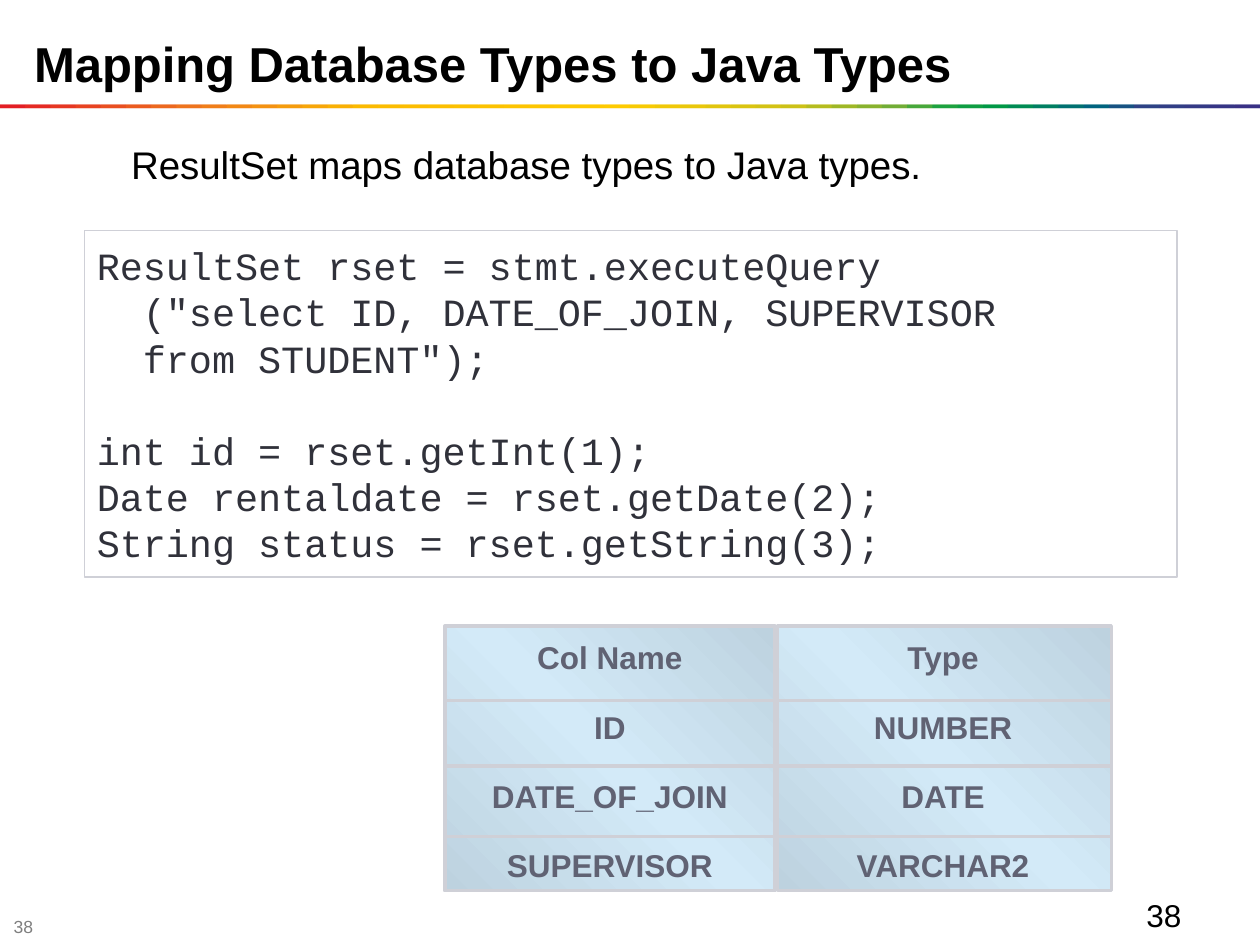
import lxml.etree
import pptx
import pptx.dml.color
import pptx.enum.shapes
import pptx.enum.text
import pptx.oxml
import pptx.oxml.ns
import pptx.util

RGBColor = pptx.dml.color.RGBColor
Anchor = pptx.enum.text.MSO_ANCHOR
Align = pptx.enum.text.PP_ALIGN
Inches = pptx.util.Inches
Pt = pptx.util.Pt
qn = pptx.oxml.ns.qn

BLACK = RGBColor(0x00, 0x00, 0x00)
WHITE = RGBColor(0xFF, 0xFF, 0xFF)
GREY = RGBColor(0x7F, 0x7F, 0x7F)
CODE_INK = RGBColor(0x30, 0x31, 0x3A)
TABLE_INK = RGBColor(0x60, 0x62, 0x73)
RULE_GREY = RGBColor(0xCF, 0xD0, 0xD7)
PANEL_EDGE = RGBColor(0xBD, 0xD2, 0xDF)
PANEL_MIDDLE = RGBColor(0xD3, 0xEA, 0xF8)
PANEL_STOPS = [(0, PANEL_EDGE), (50, PANEL_MIDDLE), (100, PANEL_EDGE)]
RAINBOW_KEYS = [
    (0, RGBColor(0xE3, 0x1E, 0x24)),
    (7, RGBColor(0xEE, 0x74, 0x1D)),
    (14, RGBColor(0xFB, 0xBA, 0x00)),
    (24, RGBColor(0xFE, 0xCB, 0x00)),
    (31, RGBColor(0xCC, 0xC1, 0x17)),
    (35, RGBColor(0x71, 0xAD, 0x36)),
    (37, RGBColor(0x1D, 0xA2, 0x40)),
    (39, RGBColor(0x00, 0x98, 0x46)),
    (43, RGBColor(0x00, 0x63, 0x7F)),
    (45, RGBColor(0x2E, 0x42, 0x85)),
    (49, RGBColor(0x39, 0x31, 0x85)),
]
NO_GRID_STYLE = "{2D5ABB26-0587-4C30-8999-92F81FD0307C}"

CODE = [
    "ResultSet rset = stmt.executeQuery",
    '  ("select ID, DATE_OF_JOIN, SUPERVISOR \v  from STUDENT");',
    "",
    "int id = rset.getInt(1);",
    "Date rentaldate = rset.getDate(2);",
    "String status = rset.getString(3);",
]
COLUMN_TYPES = [
    ("Col Name", "Type"),
    ("ID", "NUMBER"),
    ("DATE_OF_JOIN", "DATE"),
    ("SUPERVISOR", "VARCHAR2"),
]
ROW_HEIGHTS = [0.59, 0.52, 0.56, 0.43]
PANEL_WIDTHS = [2.62, 2.65]
PANEL_GAP = 0.02
TEXT_START, TEXT_PITCH = 0.12, 0.55


def place(shape, box):
    shape.left, shape.top, shape.width, shape.height = map(Inches, box)


def set_font(paragraph, size, color, name="Arial", bold=False):
    font = paragraph.font
    font.size, font.name, font.bold = Pt(size), name, bold
    font.color.rgb = color


def add_rectangle(slide, box):
    shape = slide.shapes.add_shape(
        pptx.enum.shapes.MSO_SHAPE.RECTANGLE, *map(Inches, box))
    shape.shadow.inherit = False
    return shape


def fill_solid(shape, color):
    shape.fill.solid()
    shape.fill.fore_color.rgb = color


def fill_gradient(shape, stops, angle):
    shape.fill.gradient()
    gradient = shape.element.spPr.find(qn("a:gradFill"))
    stop_list = gradient.find(qn("a:gsLst"))
    for old_stop in list(stop_list):
        stop_list.remove(old_stop)
    for percent, color in stops:
        stop = lxml.etree.SubElement(stop_list, qn("a:gs"), pos=str(percent * 1000))
        lxml.etree.SubElement(stop, qn("a:srgbClr"), val=str(color))
    gradient.find(qn("a:lin")).set("ang", str(angle * 60000))


def fill_placeholder(shape, box, text, size, bold, anchor):
    place(shape, box)
    frame = shape.text_frame
    frame.text = text
    frame.word_wrap = True
    frame.auto_size = pptx.enum.text.MSO_AUTO_SIZE.NONE
    frame.vertical_anchor = anchor
    paragraph = frame.paragraphs[0]
    properties = paragraph._p.get_or_add_pPr()
    properties.set("marL", "0")
    properties.set("indent", "0")
    lxml.etree.SubElement(properties, qn("a:buNone"))
    paragraph.alignment = Align.LEFT
    paragraph.space_before = Pt(0)
    set_font(paragraph, size, BLACK, bold=bold)


def rainbow_color(position):
    for (start, first), (end, last) in zip(RAINBOW_KEYS, RAINBOW_KEYS[1:]):
        if position <= end:
            share = (position - start) / (end - start)
            return RGBColor(*(round(a + (b - a) * share) for a, b in zip(first, last)))


def add_rainbow_rule(slide, box):
    left, top, width, height = box
    count = RAINBOW_KEYS[-1][0] + 1
    step = width / count
    pieces = [(0, 1)] + [(index, min(2, count - index)) for index in range(count)]
    for index, steps in pieces:
        piece = add_rectangle(slide, (left + index * step, top, steps * step, height))
        fill_solid(piece, rainbow_color(max(index, 0)))
        piece.line.fill.background()


def add_code_box(slide, box):
    shape = add_rectangle(slide, box)
    fill_solid(shape, WHITE)
    shape.line.color.rgb = RULE_GREY
    shape.line.width = Pt(1)
    frame = shape.text_frame
    frame.text = "\n".join(CODE)
    frame.word_wrap = True
    frame.vertical_anchor = Anchor.MIDDLE
    for paragraph in frame.paragraphs:
        paragraph.alignment = Align.LEFT
        set_font(paragraph, 22, CODE_INK, "Courier New")


def add_bottom_border(cell):
    border = lxml.etree.SubElement(
        cell._tc.get_or_add_tcPr(), qn("a:lnB"), w=str(Pt(2)))
    fill = lxml.etree.SubElement(border, qn("a:solidFill"))
    lxml.etree.SubElement(fill, qn("a:srgbClr"), val=str(RULE_GREY))


def add_type_table(slide, box):
    left, top, width, height = box
    panel_left = left
    for panel_width in PANEL_WIDTHS:
        panel = add_rectangle(slide, (panel_left, top, panel_width, height))
        fill_gradient(panel, PANEL_STOPS, 315)
        panel.line.color.rgb = RULE_GREY
        panel.line.width = Pt(2)
        panel_left += panel_width + PANEL_GAP

    frame = slide.shapes.add_table(
        len(COLUMN_TYPES), len(PANEL_WIDTHS), *map(Inches, box))
    table = frame.table
    table._tbl.tblPr.find(qn("a:tableStyleId")).text = NO_GRID_STYLE
    table.horz_banding = False
    table.columns[0].width = Inches(PANEL_WIDTHS[0])
    table.columns[1].width = Inches(width - PANEL_WIDTHS[0])
    for index, (row, values) in enumerate(zip(table.rows, COLUMN_TYPES)):
        row.height = Inches(ROW_HEIGHTS[index])
        text_top = TEXT_START + index * TEXT_PITCH - sum(ROW_HEIGHTS[:index])
        for cell, value in zip(row.cells, values):
            cell.text = value
            cell.vertical_anchor = Anchor.TOP
            cell.margin_top = Inches(text_top)
            cell.margin_bottom = 0
            if values != COLUMN_TYPES[-1]:
                add_bottom_border(cell)
            cell.fill.background()
            paragraph = cell.text_frame.paragraphs[0]
            paragraph.alignment = Align.CENTER
            set_font(paragraph, 18, TABLE_INK, bold=True)


def add_page_number(slide, box, size, color, anchor):
    frame = slide.shapes.add_textbox(*map(Inches, box)).text_frame
    frame.text = "38"
    frame.word_wrap = True
    frame.vertical_anchor = anchor
    set_font(frame.paragraphs[0], size, color)


def main():
    presentation = pptx.Presentation()
    presentation.slide_width, presentation.slide_height = Inches(10), Inches(7.5)
    slide = presentation.slides.add_slide(presentation.slide_layouts[1])
    title, body = slide.placeholders
    fill_placeholder(title, (0.17, 0, 9.83, 1),
                     "Mapping Database Types to Java Types", 28, True, Anchor.MIDDLE)
    fill_placeholder(body, (0.94, 1.07, 8.08, 0.47),
                     "ResultSet maps database types to Java types.", 22, False, Anchor.TOP)
    add_rainbow_rule(slide, (0, 0.83, 10, 0.03))
    add_code_box(slide, (0.67, 1.83, 8.67, 2.75))
    add_type_table(slide, (3.53, 4.97, sum(PANEL_WIDTHS) + PANEL_GAP, sum(ROW_HEIGHTS)))
    add_page_number(slide, (0.01, 7.27, 0.39, 0.16), 10, GREY, Anchor.MIDDLE)
    add_page_number(slide, (9, 7.06, 0.96, 0.35), 18, BLACK, Anchor.TOP)
    presentation.save("out.pptx")


if __name__ == "__main__":
    main()
